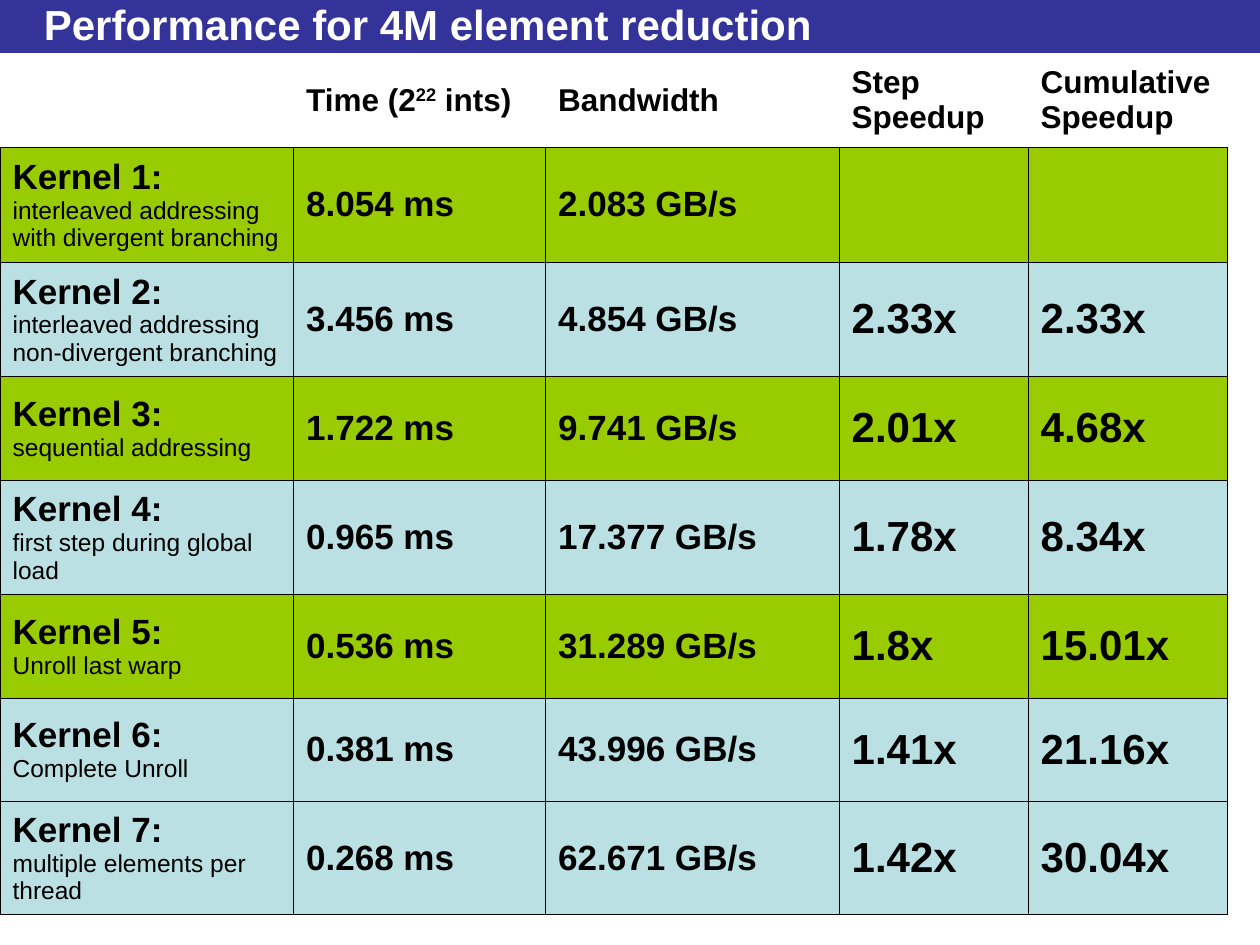
"""Build a slide with a table of reduction kernel timings."""
from copy import deepcopy
from typing import NamedTuple

from lxml.etree import SubElement
from pptx import Presentation
from pptx.dml.color import RGBColor
from pptx.enum.shapes import MSO_SHAPE
from pptx.enum.text import MSO_ANCHOR
from pptx.oxml.ns import qn
from pptx.util import Inches, Pt

NAVY = RGBColor(0x33, 0x33, 0x99)
WHITE = RGBColor(0xFF, 0xFF, 0xFF)
BLACK = RGBColor(0x00, 0x00, 0x00)
GREEN = RGBColor(0x99, 0xCC, 0x00)
PALE_BLUE = RGBColor(0xBB, 0xE0, 0xE3)
COLUMN_WIDTHS = (2.33, 2, 2.33, 1.5, 1.58)
HEADER_HEIGHT = 0.75
GRID_WEIGHT = Pt(0.45)


class Kernel(NamedTuple):
    method: str
    time: str
    bandwidth: str
    step: str
    cumulative: str
    fill: RGBColor
    height: float


KERNELS = (
    Kernel("interleaved addressing\nwith divergent branching", "8.054 ms", "2.083 GB/s", "", "", GREEN, 0.91),
    Kernel("interleaved addressing\nnon-divergent branching", "3.456 ms", "4.854 GB/s", "2.33x", "2.33x", PALE_BLUE, 0.91),
    Kernel("sequential addressing", "1.722 ms", "9.741 GB/s", "2.01x", "4.68x", GREEN, 0.82),
    Kernel("first step during global load", "0.965 ms", "17.377 GB/s", "1.78x", "8.34x", PALE_BLUE, 0.91),
    Kernel("Unroll last warp", "0.536 ms", "31.289 GB/s", "1.8x", "15.01x", GREEN, 0.82),
    Kernel("Complete Unroll", "0.381 ms", "43.996 GB/s", "1.41x", "21.16x", PALE_BLUE, 0.82),
    Kernel("multiple elements per thread", "0.268 ms", "62.671 GB/s", "1.42x", "30.04x", PALE_BLUE, 0.9),
)


def write(paragraph, text: str, *, size: float, bold: bool = True,
          color: RGBColor = BLACK, baseline: int = 0) -> None:
    for index, line in enumerate(text.split("\n")):
        if index:
            paragraph.add_line_break()
            paragraph._p[-1].append(deepcopy(properties))
        run = paragraph.add_run()
        run.text = line
        run.font.name = "Arial"
        run.font.size = Pt(size)
        run.font.bold = bold
        run.font.color.rgb = color
        properties = run._r.get_or_add_rPr()
        if baseline:
            properties.set("baseline", str(baseline * 1000))


def draw_borders(cell, visible_sides: str) -> None:
    for side in "LRTB":
        border = SubElement(cell._tc.get_or_add_tcPr(), qn(f"a:ln{side}"), w=str(GRID_WEIGHT))
        if side in visible_sides:
            paint = SubElement(border, qn("a:solidFill"))
            SubElement(paint, qn("a:srgbClr"), val=str(BLACK))
        else:
            SubElement(border, qn("a:noFill"))


def draw_title(slide) -> None:
    band = slide.shapes.add_shape(MSO_SHAPE.RECTANGLE, 0, 0, Inches(10), Inches(0.42))
    band.shadow.inherit = False
    band.fill.solid()
    band.fill.fore_color.rgb = NAVY
    band.line.fill.background()
    title = slide.shapes.add_textbox(Inches(0.25), Inches(0.05), Inches(9.25), Inches(0.28))
    title.text_frame.word_wrap = True
    title.text_frame.vertical_anchor = MSO_ANCHOR.MIDDLE
    write(title.text_frame.paragraphs[0], "Performance for 4M element reduction", size=24, color=WHITE)


def fill_header(cells) -> None:
    for cell in cells:
        draw_borders(cell, "B")
        cell.fill.background()
    time = cells[1].text_frame.paragraphs[0]
    write(time, "Time (2", size=18)
    write(time, "22", size=18, baseline=30)
    write(time, " ints)", size=18)
    for cell, heading in zip(cells[2:], ("Bandwidth", "Step Speedup", "Cumulative Speedup")):
        write(cell.text_frame.paragraphs[0], heading, size=18)


def fill_kernel(cells, number: int, kernel: Kernel) -> None:
    for cell in cells:
        draw_borders(cell, "LRTB")
        cell.fill.solid()
        cell.fill.fore_color.rgb = kernel.fill
    label = cells[0].text_frame.paragraphs[0]
    write(label, f"Kernel {number}:\n", size=20)
    write(label, kernel.method, size=14, bold=False)
    measures = (kernel.time, kernel.bandwidth, kernel.step, kernel.cumulative)
    for cell, measure, size in zip(cells[1:], measures, (20, 20, 24, 24)):
        if measure:
            write(cell.text_frame.paragraphs[0], measure, size=size)


def draw_results(slide) -> None:
    heights = [HEADER_HEIGHT, *(kernel.height for kernel in KERNELS)]
    results = slide.shapes.add_table(
        len(heights), len(COLUMN_WIDTHS), 0, Inches(0.42),
        Inches(sum(COLUMN_WIDTHS)), Inches(sum(heights))).table
    results.first_row = False
    results.horz_banding = False
    for column, width in zip(results.columns, COLUMN_WIDTHS):
        column.width = Inches(width)
    for row, height in zip(results.rows, heights):
        row.height = Inches(height)
    for cell in results.iter_cells():
        cell.vertical_anchor = MSO_ANCHOR.MIDDLE
    header, *body = [list(row.cells) for row in results.rows]
    fill_header(header)
    for number, (cells, kernel) in enumerate(zip(body, KERNELS), 1):
        fill_kernel(cells, number, kernel)


def main() -> None:
    presentation = Presentation()
    presentation.slide_width = Inches(10)
    presentation.slide_height = Inches(7.5)
    slide = presentation.slides.add_slide(presentation.slide_layouts[6])
    draw_title(slide)
    draw_results(slide)
    presentation.save("out.pptx")


if __name__ == "__main__":
    main()
